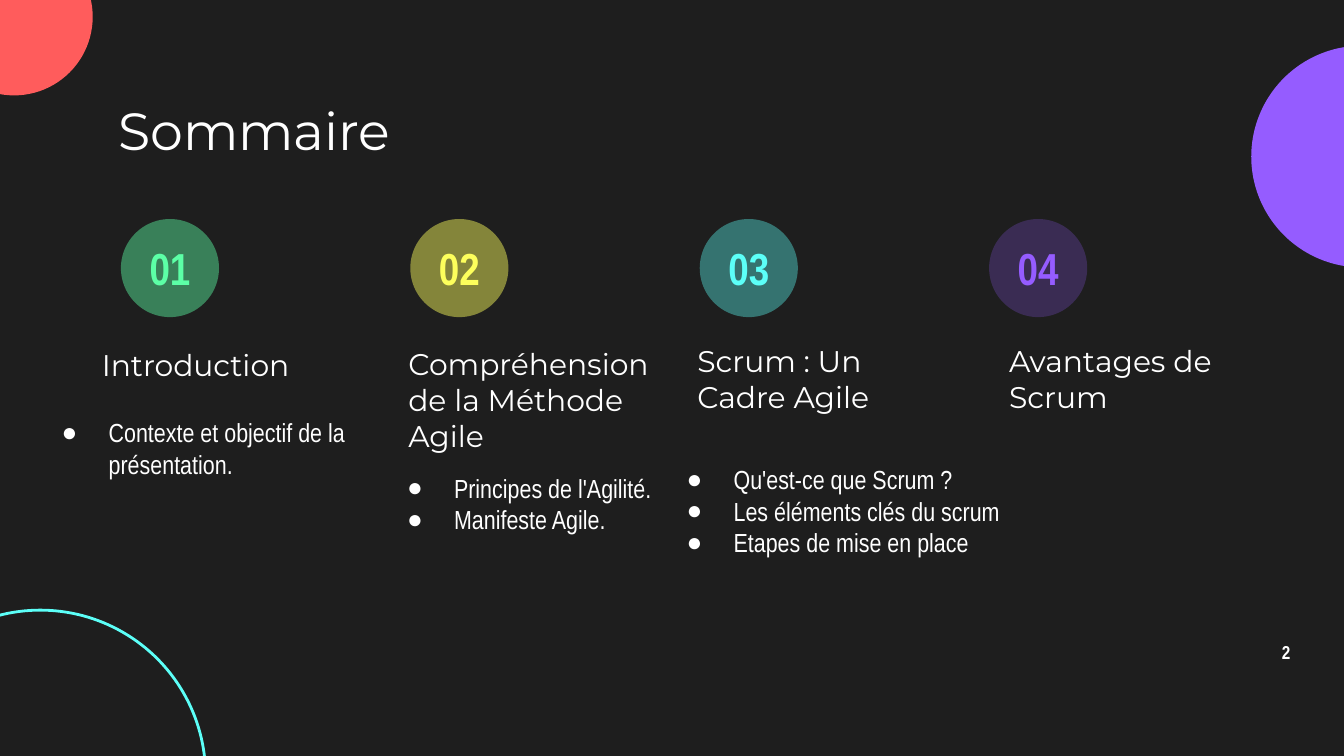
from dataclasses import dataclass
from typing import NamedTuple, Optional

from lxml.etree import SubElement
from pptx import Presentation
from pptx.dml.color import RGBColor
from pptx.enum.shapes import MSO_SHAPE
from pptx.enum.text import MSO_ANCHOR, MSO_AUTO_SIZE, PP_ALIGN
from pptx.oxml.ns import qn
from pptx.util import Inches, Pt


@dataclass(frozen=True)
class Theme:
    back: str = "1E1E1E"
    white: str = "FFFFFF"
    red: str = "FF5C5C"
    green: str = "5CFFA6"
    yellow: str = "FDFF5C"
    cyan: str = "5CFFF8"
    purple: str = "955CFF"
    head: str = "Montserrat"
    body: str = "Arial Narrow"
    title: int = 28
    number: int = 24
    topic: int = 16
    point: int = 14
    page: int = 10


THEME = Theme()


class Box(NamedTuple):
    left: float
    top: float
    width: float
    height: float

    def inches(self) -> list:
        return [Inches(side) for side in self]


class Style(NamedTuple):
    font: str
    size: int
    color: str = THEME.white
    bold: bool = False
    align: PP_ALIGN = PP_ALIGN.LEFT


class Points(NamedTuple):
    box: Box
    lines: list[str]
    lift: float = 0  # extra room kept below the lines


class Topic(NamedTuple):
    color: str
    alpha: int
    name: str
    box: Box
    points: Optional[Points] = None


TOPICS = [
    Topic(THEME.green, 44, "Introduction", Box(0.66, 2.41, 1.97, 0.6),
          Points(Box(0.21, 2.95, 2.49, 0.77),
                 ["Contexte et objectif de la présentation."])),
    Topic(THEME.yellow, 46, "Compréhension de la Méthode Agile",
          Box(2.94, 2.61, 2.3, 0.73),
          Points(Box(2.78, 3.35, 2.49, 1.02),
                 ["Principes de l'Agilité.", "Manifeste Agile."], 0.23)),
    Topic(THEME.cyan, 38, "Scrum : Un Cadre Agile", Box(5.09, 2.52, 1.97, 0.6),
          Points(Box(4.86, 3.2, 2.78, 1.43),
                 ["Qu'est-ce que Scrum ?", "Les éléments clés du scrum",
                  "Etapes de mise en place"], 0.23)),
    Topic(THEME.purple, 24, "Avantages de Scrum", Box(7.41, 2.52, 1.97, 0.6)),
]
FIRST, LAST, DISC = 0.9, 7.36, 0.73
PITCH = (LAST - FIRST) / (len(TOPICS) - 1)


def paint(color: str) -> RGBColor:
    return RGBColor.from_string(color)


def draw_disc(slide, box: Box, fill: Optional[str] = None,
              line: Optional[str] = None, alpha: int = 100) -> None:
    """Draw a circle; alpha is the fill's opacity in percent."""
    disc = slide.shapes.add_shape(MSO_SHAPE.OVAL, *box.inches())
    disc.shadow.inherit = False
    if fill:
        disc.fill.solid()
        disc.fill.fore_color.rgb = paint(fill)
        if alpha < 100:
            tone = disc.fill._xPr.find(qn("a:solidFill"))[0]
            SubElement(tone, qn("a:alpha"), val=str(alpha * 1000))
    else:
        disc.fill.background()
    if line:
        disc.line.color.rgb = paint(line)
        disc.line.width = Pt(1.5)
    else:
        disc.line.fill.background()


def add_bullet(para) -> None:
    props = para._p.get_or_add_pPr()
    props.set("marL", str(Inches(0.5)))
    props.set("indent", str(Inches(-0.35)))
    tint = SubElement(props, qn("a:buClr"))
    SubElement(tint, qn("a:srgbClr"), val=THEME.white)
    SubElement(props, qn("a:buFont"), typeface="Arial")
    SubElement(props, qn("a:buChar"), char="●")


def fill_text(shape, lines: list[str], style: Style,
              bullet: bool = False, lift: float = 0) -> None:
    frame = shape.text_frame
    frame.word_wrap = True
    frame.auto_size = MSO_AUTO_SIZE.NONE
    frame.vertical_anchor = MSO_ANCHOR.MIDDLE
    frame.margin_left = frame.margin_right = frame.margin_top = Inches(0.1)
    frame.margin_bottom = Inches(0.1 + lift)
    for index, line in enumerate(lines):
        para = frame.add_paragraph() if index else frame.paragraphs[0]
        para.alignment = style.align
        if bullet:
            add_bullet(para)
        run = para.add_run()
        run.text = line
        run.font.name = style.font
        run.font.size = Pt(style.size)
        run.font.bold = style.bold
        run.font.color.rgb = paint(style.color)


def add_text(slide, box: Box, lines: list[str], style: Style,
             bullet: bool = False, lift: float = 0) -> None:
    shape = slide.shapes.add_textbox(*box.inches())
    fill_text(shape, lines, style, bullet, lift)


def draw_topic(slide, index: int, topic: Topic) -> None:
    left = FIRST + index * PITCH
    draw_disc(slide, Box(left, 1.63, DISC, DISC), topic.color,
              alpha=topic.alpha)
    add_text(slide, Box(left, 1.74, DISC, 0.5), [f"{index + 1:02}"],
             Style(THEME.body, THEME.number, topic.color, True,
                   PP_ALIGN.CENTER))
    add_text(slide, topic.box, [topic.name], Style(THEME.head, THEME.topic))
    if topic.points:
        add_text(slide, topic.points.box, topic.points.lines,
                 Style(THEME.body, THEME.point), True, topic.points.lift)


def main() -> None:
    deck = Presentation()
    deck.slide_width = Inches(10)
    deck.slide_height = deck.slide_width * 9 // 16
    slide = deck.slides.add_slide(deck.slide_layouts[5])
    slide.background.fill.solid()
    slide.background.fill.fore_color.rgb = paint(THEME.back)

    draw_disc(slide, Box(9.31, 0.34, 1.65, 1.65), THEME.purple)
    draw_disc(slide, Box(-0.48, -0.46, 1.17, 1.17), THEME.red)
    draw_disc(slide, Box(-0.93, 4.54, 2.46, 2.46), line=THEME.cyan)

    title = slide.shapes.title
    title.left, title.top, title.width, title.height = Box(
        0.78, 0.71, 8.44, 0.51).inches()
    fill_text(title, ["Sommaire"], Style(THEME.head, THEME.title))

    for index, topic in enumerate(TOPICS):
        draw_topic(slide, index, topic)

    add_text(slide, Box(9.27, 4.68, 0.6, 0.34), ["2"],
             Style(THEME.body, THEME.page, bold=True, align=PP_ALIGN.CENTER))
    deck.save("out.pptx")


if __name__ == "__main__":
    main()
